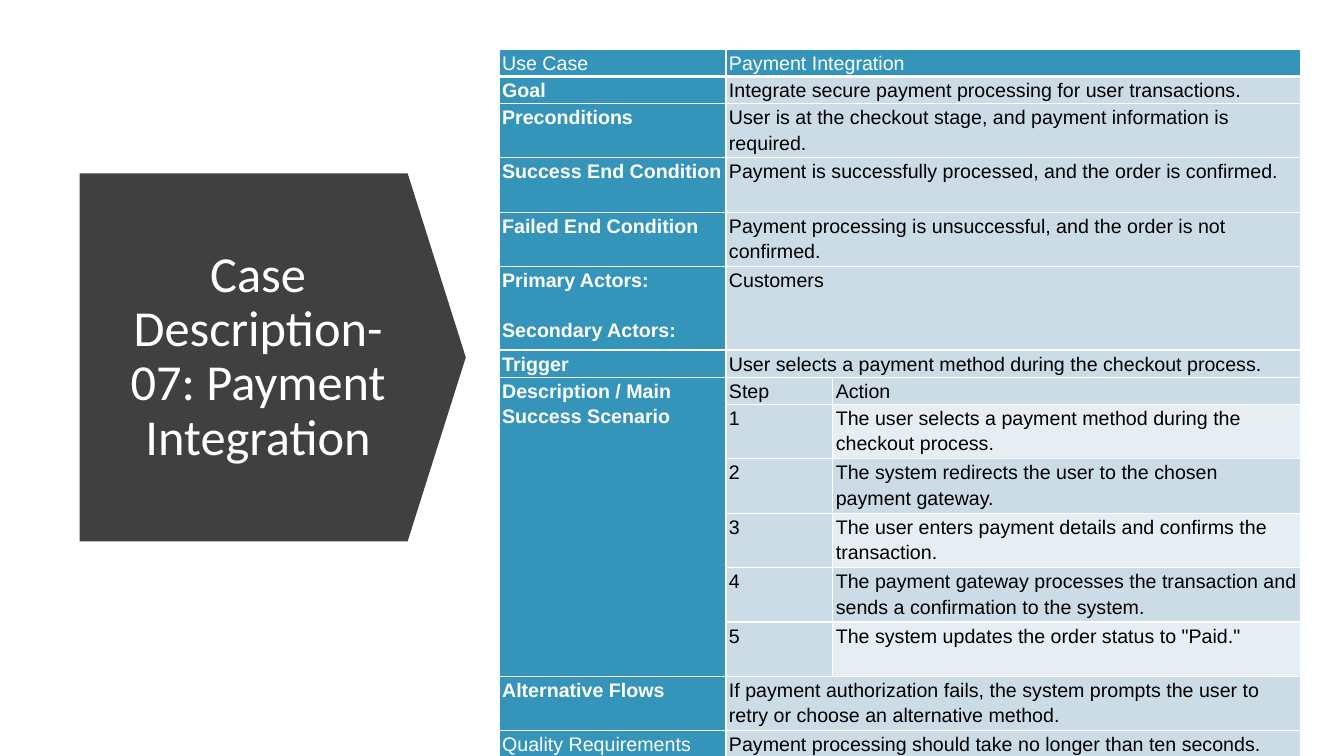
import pptx
import pptx.util
import pptx.dml.color
import pptx.enum.shapes
import pptx.enum.text
import pptx.oxml.ns
import lxml.etree

Inches, Pt = pptx.util.Inches, pptx.util.Pt
RGBColor = pptx.dml.color.RGBColor
WHITE = RGBColor(0xFF, 0xFF, 0xFF)
BLACK = RGBColor(0, 0, 0)
CHARCOAL = RGBColor(0x40, 0x40, 0x40)
TEAL = RGBColor(0x34, 0x94, 0xBA)
MIST = RGBColor(0xCC, 0xDC, 0xE6)
PALE = RGBColor(0xE7, 0xEE, 0xF3)

# Row heights: one line, two lines set tight, two lines, three lines
ONE, TIGHT, TWO, THREE = 0.27, 0.51, 0.54, 0.83
COLUMNS = [2.25, 1.06, 4.64]
# Each row: height, then one text per cell; two texts mean the last spans two columns
USE_CASE = [
    (ONE, "Use Case", "Payment Integration"),
    (ONE, "Goal", "Integrate secure payment processing for user transactions."),
    (TIGHT, "Preconditions",
     "User is at the checkout stage, and payment information is required."),
    (TWO, "Success End Condition",
     "Payment is successfully processed, and the order is confirmed."),
    (TIGHT, "Failed End Condition",
     "Payment processing is unsuccessful, and the order is not confirmed."),
    (THREE, "Primary Actors:\nSecondary Actors:", "Customers"),
    (ONE, "Trigger", "User selects a payment method during the checkout process."),
    (ONE, "Description / Main Success Scenario", "Step", "Action"),
    (TWO, "", "1", "The user selects a payment method during the checkout process."),
    (TWO, "", "2", "The system redirects the user to the chosen payment gateway."),
    (TWO, "", "3", "The user enters payment details and confirms the transaction."),
    (TWO, "", "4", "The payment gateway processes the transaction and sends "
     "a confirmation to the system."),
    (TWO, "", "5", 'The system updates the order status to "Paid."'),
    (TWO, "Alternative Flows", "If payment authorization fails, the system prompts "
     "the user to retry or choose an alternative method."),
    (ONE, "Quality Requirements",
     "Payment processing should take no longer than ten seconds."),
]
FIRST_STEP, LAST_STEP = 7, 12
PLAIN_LABELS = ("Use Case", "Quality Requirements")


def add_borders(cell, top, bottom):
    """Draw white lines on the four sides; widths in points."""
    properties = cell._tc.get_or_add_tcPr()
    for side, width in (("L", 1), ("R", 1), ("T", top), ("B", bottom)):
        line = lxml.etree.SubElement(
            properties, pptx.oxml.ns.qn("a:ln" + side), w=str(Pt(width)))
        paint = lxml.etree.SubElement(line, pptx.oxml.ns.qn("a:solidFill"))
        lxml.etree.SubElement(paint, pptx.oxml.ns.qn("a:srgbClr"), val=str(WHITE))


deck = pptx.Presentation()
deck.slide_width, deck.slide_height = Inches(13.33), Inches(7.5)
page = deck.slides.add_slide(deck.slide_layouts[6])

# Dark arrow pointing right
arrow = page.shapes.add_shape(
    pptx.enum.shapes.MSO_SHAPE.DOWN_ARROW,
    Inches(0.88), Inches(1.63), Inches(3.65), Inches(3.83))
arrow.rotation = 270
arrow.adjustments[0] = 1
arrow.adjustments[1] = 0.158
arrow.shadow.inherit = False
arrow.fill.solid()
arrow.fill.fore_color.rgb = CHARCOAL
arrow.line.fill.background()

# Title over the arrow
box = page.shapes.add_textbox(Inches(1.12), Inches(2.15), Inches(2.88), Inches(2.79))
box.text_frame.word_wrap = True
box.text_frame.vertical_anchor = pptx.enum.text.MSO_ANCHOR.MIDDLE
para = box.text_frame.paragraphs[0]
para.text = "Case Description-07: Payment Integration"
para.alignment = pptx.enum.text.PP_ALIGN.CENTER
para.line_spacing = 0.9
para.font.name, para.font.size = "Calibri", Pt(36)
para.font.color.rgb = WHITE

# Use case table
table = page.shapes.add_table(
    len(USE_CASE), len(COLUMNS), Inches(4.95), Inches(0.49),
    Inches(sum(COLUMNS)), Inches(sum(row[0] for row in USE_CASE))).table
table.first_row = table.horz_banding = False
for column, width in zip(table.columns, COLUMNS):
    column.width = Inches(width)

for r, (height, *texts) in enumerate(USE_CASE):
    table.rows[r].height = Inches(height)
    for c in range(len(COLUMNS)):
        cell = table.cell(r, c)
        add_borders(cell, 3 if r == 1 else 1, 3 if r == 0 else 1)
        cell.margin_left = cell.margin_right = Inches(0.03)
        cell.margin_top = cell.margin_bottom = 0
        is_label = r == 0 or c == 0
        is_odd_action = c == 2 and FIRST_STEP < r <= LAST_STEP and (r - FIRST_STEP) % 2
        cell.fill.solid()
        cell.fill.fore_color.rgb = TEAL if is_label else PALE if is_odd_action else MIST
        if c >= len(texts) or not texts[c]:
            continue
        cell.text = texts[c]
        for n, para in enumerate(cell.text_frame.paragraphs):
            para.line_spacing = 1.15
            para.space_before = Pt(18 * n)
            para.font.name, para.font.size = "Arial", Pt(14)
            para.font.bold = c == 0 and texts[0] not in PLAIN_LABELS
            para.font.color.rgb = WHITE if is_label else BLACK
    if len(texts) == 2:
        table.cell(r, 1).merge(table.cell(r, 2))
table.cell(FIRST_STEP, 0).merge(table.cell(LAST_STEP, 0))

deck.save("out.pptx")
